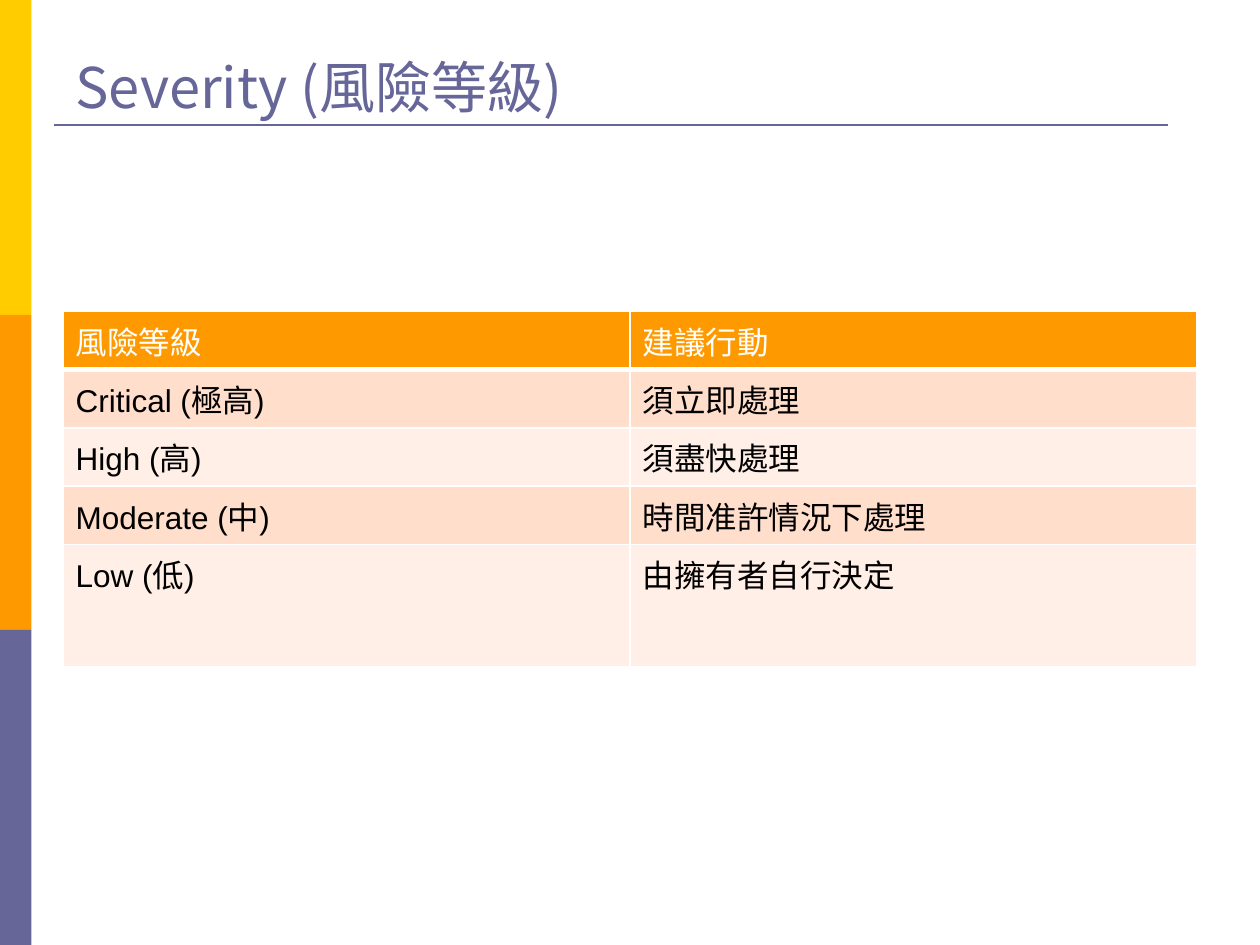
from dataclasses import dataclass

import pptx
import pptx.dml.color
import pptx.enum.shapes
import pptx.enum.text
import pptx.oxml
import pptx.oxml.ns
import pptx.util
from pptx.util import Pt

rgb = pptx.dml.color.RGBColor.from_string


@dataclass(frozen=True)
class Theme:
    yellow: str = "FFCC00"
    orange: str = "FF9900"
    purple: str = "666699"
    white: str = "FFFFFF"
    black: str = "000000"
    bands: tuple = ("FFDECC", "FFEFE7")
    latin_font: str = "Arial"
    cjk_font: str = "Noto Sans CJK TC"
    title_size: int = 32
    body_size: int = 18


THEME = Theme()
ROWS = [
    ("風險等級", "建議行動"),
    ("Critical (極高)", "須立即處理"),
    ("High (高)", "須盡快處理"),
    ("Moderate (中)", "時間准許情況下處理"),
    ("Low (低)", "由擁有者自行決定"),
]
ROW_HEIGHTS = [24, 24, 24, 24, 70]


def format_paragraph(p, size, color, latin):
    p.font.size = Pt(size)
    p.font.color.rgb = rgb(color)
    p.font.name = latin
    ea = pptx.oxml.parse_xml(
        f'<a:ea {pptx.oxml.ns.nsdecls("a")} typeface="{THEME.cjk_font}"/>')
    p.font._element.find(pptx.oxml.ns.qn("a:latin")).addnext(ea)


def add_side_bar(slide, left, top, width, height):
    colors = (THEME.yellow, THEME.orange, THEME.purple)
    step = height / len(colors)
    for i, color in enumerate(colors):
        sp = slide.shapes.add_shape(
            pptx.enum.shapes.MSO_SHAPE.RECTANGLE,
            Pt(left), Pt(top + i * step), Pt(width), Pt(step))
        sp.shadow.inherit = False
        sp.fill.solid()
        sp.fill.fore_color.rgb = rgb(color)
        sp.line.fill.background()


def add_title_rule(slide, left, y, width):
    line = slide.shapes.add_connector(
        pptx.enum.shapes.MSO_CONNECTOR.STRAIGHT,
        Pt(left), Pt(y), Pt(left + width), Pt(y))
    line.line.color.rgb = rgb(THEME.purple)
    line.line.width = Pt(1.5)
    line._element.spPr.append(pptx.oxml.parse_xml(
        f'<a:effectLst {pptx.oxml.ns.nsdecls("a")}/>'))


def set_title(slide, text, left, top, width, height):
    sp = slide.shapes.title
    sp.left, sp.top, sp.width, sp.height = map(Pt, (left, top, width, height))
    tf = sp.text_frame
    tf.text = text
    tf.auto_size = pptx.enum.text.MSO_AUTO_SIZE.NONE
    tf.vertical_anchor = pptx.enum.text.MSO_ANCHOR.BOTTOM
    p = tf.paragraphs[0]
    p.alignment = pptx.enum.text.PP_ALIGN.LEFT
    format_paragraph(p, THEME.title_size, THEME.purple, THEME.cjk_font)


def set_borders(cell, top, bottom):
    """Draw white cell borders; top and bottom are widths in points."""
    widths = {"lnL": 1, "lnR": 1, "lnT": top, "lnB": bottom}
    for i, (side, width) in enumerate(widths.items()):
        border = pptx.oxml.parse_xml(
            f'<a:{side} {pptx.oxml.ns.nsdecls("a")} w="{Pt(width)}">'
            f'<a:solidFill><a:srgbClr val="{THEME.white}"/></a:solidFill>'
            f'</a:{side}>')
        cell._tc.get_or_add_tcPr().insert(i, border)


def add_severity_table(slide, left, top, width, height):
    frame = slide.shapes.add_table(
        len(ROWS), len(ROWS[0]), Pt(left), Pt(top), Pt(width), Pt(height))
    table = frame.table
    for row, row_height in zip(table.rows, ROW_HEIGHTS):
        row.height = Pt(row_height)
    frame.height = Pt(height)
    for i, texts in enumerate(ROWS):
        header = i == 0
        fill = THEME.orange if header else THEME.bands[(i - 1) % 2]
        color = THEME.white if header else THEME.black
        for j, text in enumerate(texts):
            cell = table.cell(i, j)
            cell.text = text
            format_paragraph(cell.text_frame.paragraphs[0],
                             THEME.body_size, color, THEME.latin_font)
            cell.text_frame.paragraphs[0].font.bold = False
            cell.fill.solid()
            cell.fill.fore_color.rgb = rgb(fill)
            set_borders(cell, top=3 if i == 1 else 1, bottom=3 if header else 1)


def main():
    prs = pptx.Presentation()
    prs.slide_width, prs.slide_height = Pt(720), Pt(540)
    slide = prs.slides.add_slide(prs.slide_layouts[5])
    add_side_bar(slide, 0, 0, 18, 540)
    add_title_rule(slide, 31, 71.5, 636.5)
    set_title(slide, "Severity (風險等級)", 36, 9.5, 648, 62.5)
    add_severity_table(slide, 36, 178, 648, 185)
    prs.save("out.pptx")


if __name__ == "__main__":
    main()
